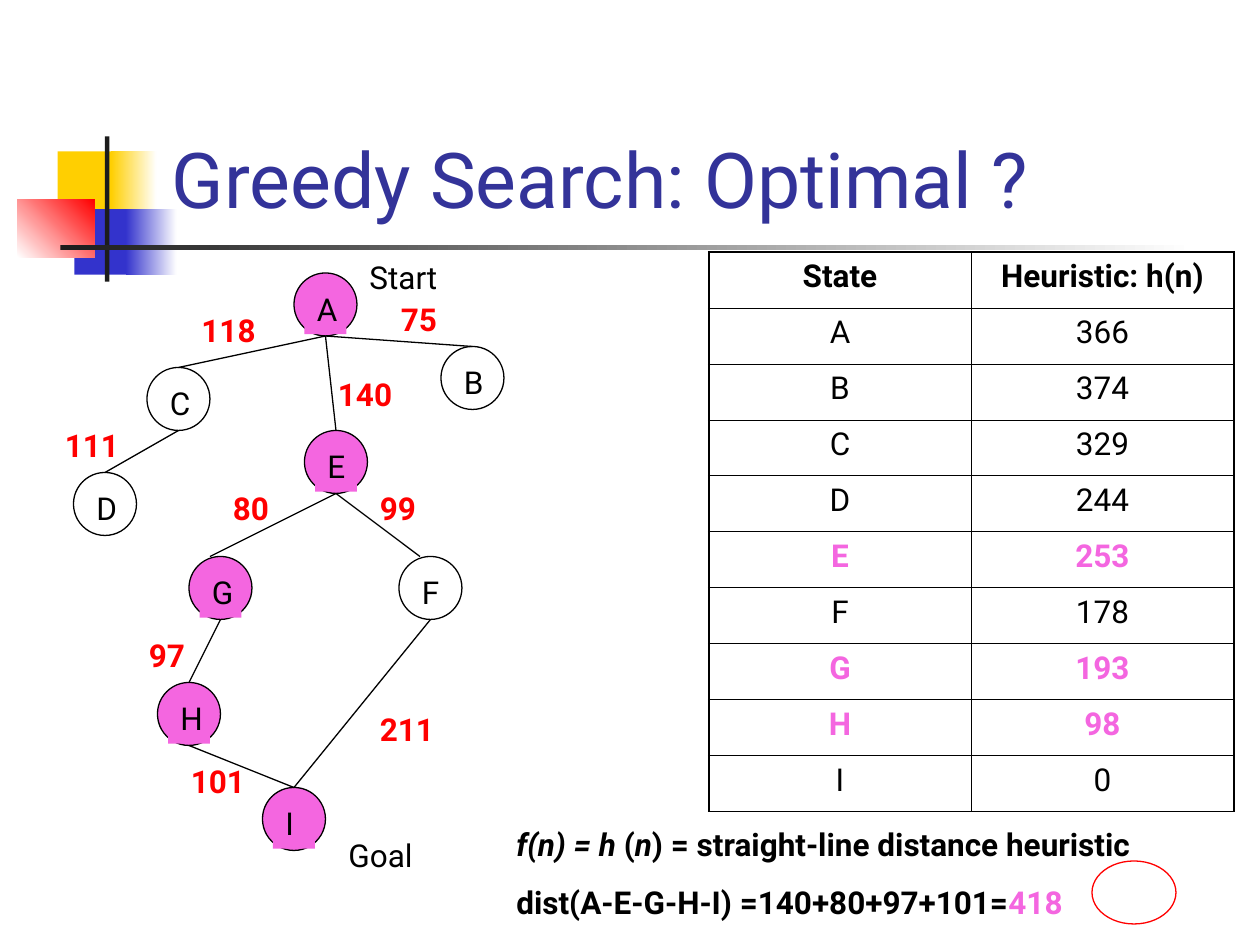
from dataclasses import dataclass

from lxml.etree import SubElement
from pptx import Presentation
from pptx.dml.color import RGBColor
from pptx.enum.shapes import MSO_CONNECTOR as Connector, MSO_SHAPE as Preset
from pptx.enum.text import MSO_ANCHOR as Anchor, MSO_AUTO_SIZE as AutoSize, PP_ALIGN as Align
from pptx.oxml.ns import qn
from pptx.util import Pt


@dataclass(frozen=True)
class Theme:
    font: str = "Roboto"
    title_size: float = 44
    body_size: float = 18
    thin: float = 0.45
    line: float = 0.75
    thick: float = 1.08
    title: str = "333399"
    ink: str = "000000"
    path_node: str = "F466E0"
    cost: str = "FF0000"
    white: str = "FFFFFF"
    yellow: str = "FFCF01"
    blue: str = "3333CC"
    red: str = "FF0000"
    charcoal: str = "1C1C1C"


def apply(target, values):
    for name, value in values.items():
        setattr(target, name, value)


class SlideBuilder:
    def __init__(self, slide, theme):
        self.slide = slide
        self.theme = theme

    def paint(self, fill, colors, angle=0):
        if not colors:
            fill.background()
        elif len(colors) == 1:
            fill.solid()
            fill.fore_color.rgb = RGBColor.from_string(colors[0])
        else:
            fill.gradient()
            fill.gradient_angle = angle
            for stop, color in zip(fill.gradient_stops, colors):
                stop.color.rgb = RGBColor.from_string(color)

    def outline(self, line, color):
        line.color.rgb = RGBColor.from_string(color)
        line.width = Pt(self.theme.line)

    def add_text_run(self, paragraph, text, color=None, size=None, **values):
        run = paragraph.add_run()
        run.text = text
        apply(run.font, {"name": self.theme.font, "size": Pt(size or self.theme.body_size), **values})
        run.font.color.rgb = RGBColor.from_string(color or self.theme.ink)

    def title(self, text, box):
        title = self.slide.shapes.title
        apply(title, dict(zip(("left", "top", "width", "height"), map(Pt, box))))
        apply(title.text_frame, {"vertical_anchor": Anchor.BOTTOM, "word_wrap": True,
                                 "auto_size": AutoSize.NONE})
        paragraph = title.text_frame.paragraphs[0]
        paragraph.alignment = Align.LEFT
        self.add_text_run(paragraph, text, self.theme.title, self.theme.title_size)
        title.element.getparent().append(title.element)

    def shape(self, preset, box, colors=(), angle=0, line=None, parent=None):
        shape = (parent or self.slide).shapes.add_shape(preset, *map(Pt, box))
        shape.shadow.inherit = False
        self.paint(shape.fill, colors, angle)
        if line:
            self.outline(shape.line, line)
        else:
            shape.line.fill.background()

    def text(self, box, paragraphs, fill=(), parent=None):
        shape = (parent or self.slide).shapes.add_textbox(*map(Pt, box))
        self.paint(shape.fill, fill)
        frame = shape.text_frame
        apply(frame, {"word_wrap": True, "auto_size": AutoSize.SHAPE_TO_FIT_TEXT})
        for index, runs in enumerate(paragraphs):
            paragraph = frame.add_paragraph() if index else frame.paragraphs[0]
            if index:
                paragraph.space_before = Pt(11.25)
            for text, values in runs:
                self.add_text_run(paragraph, text, **values)

    def label(self, box, text, **values):
        self.text(box, [[(text, values)]])

    def node(self, name, left, top, size, on_path):
        group = self.slide.shapes.add_group_shape()
        fill = (self.theme.path_node,) if on_path else ()
        self.shape(Preset.OVAL, (left, top, size, size), fill, line=self.theme.ink, parent=group)
        self.text((left + 6, top + 6, 24, 29), [[(name, {})]], fill, group)

    def edge(self, start, end):
        connector = self.slide.shapes.add_connector(Connector.STRAIGHT, *map(Pt, (*start, *end)))
        self.outline(connector.line, self.theme.ink)
        SubElement(connector.element.spPr, qn("a:effectLst"))

    def border(self, cell, side, width):
        line = SubElement(cell._tc.get_or_add_tcPr(), qn(f"a:ln{side}"), w=str(int(Pt(width))))
        fill = SubElement(line, qn("a:solidFill"))
        SubElement(fill, qn("a:srgbClr"), val=self.theme.ink)

    def table(self, left, top, column_width, row_height, rows, highlighted):
        row_count, column_count = len(rows), len(rows[0])
        box = (left, top, column_width * column_count, row_height * row_count)
        table = self.slide.shapes.add_table(row_count, column_count, *map(Pt, box)).table
        apply(table, {"first_row": False, "horz_banding": False})
        for row, values in enumerate(rows):
            marked = values[0] in highlighted
            for column, value in enumerate(values):
                cell = table.cell(row, column)
                outer = {"L": column == 0, "R": column == column_count - 1,
                         "T": row == 0, "B": row == row_count - 1}
                for side, is_outer in outer.items():
                    self.border(cell, side, self.theme.thick if is_outer else self.theme.thin)
                self.paint(cell.fill, ())
                paragraph = cell.text_frame.paragraphs[0]
                paragraph.alignment = Align.CENTER
                self.add_text_run(paragraph, value, self.theme.path_node if marked else None,
                                  bold=marked or row == 0)


NODE_SIZE = 36
NODES = {"A": (168, 156), "B": (252, 198), "D": (42, 270), "C": (84, 210), "E": (174, 246),
         "F": (228, 318), "I": (150, 450), "G": (108, 318), "H": (90, 390)}
PATH = "AEGHI"
EDGES = [("EF", -6), ("FI", 0), ("EG", -6), ("GH", 0), ("HI", 0),
         ("AB", 0), ("AE", 0), ("AC", 0), ("CD", 0)]
COSTS = [("99", 210, 276, 48), ("211", 210, 402, 60), ("80", 126, 276, 48),
         ("97", 78, 360, 48), ("101", 102, 432, 66), ("75", 222, 168, 48),
         ("118", 108, 174, 60), ("111", 30, 240, 60), ("140", 186, 211, 60)]
HEURISTICS = [("State", "Heuristic: h(n)"), ("A", "366"), ("B", "374"), ("C", "329"),
              ("D", "244"), ("E", "253"), ("F", "178"), ("G", "193"), ("H", "98"), ("I", "0")]


def main():
    presentation = Presentation()
    apply(presentation, {"slide_width": Pt(720), "slide_height": Pt(540)})
    theme = Theme()
    builder = SlideBuilder(presentation.slides.add_slide(presentation.slide_layouts[5]), theme)

    decorations = [
        ((33, 86.5, 34.5, 37.5), (theme.yellow,), 0),
        ((63.5, 86.5, 26, 37.5), (theme.yellow, theme.white), 0),
        ((42.5, 119.5, 33, 37.5), (theme.blue,), 0),
        ((72, 119.5, 29, 37.5), (theme.blue, theme.white), 0),
        ((10, 114, 44, 33), (theme.white, theme.red), 45),
        ((60, 78, 2.5, 83), (theme.charcoal,), 0),
        ((34.5, 140.25, 648, 2.5), (theme.charcoal, theme.white), 0),
    ]
    for box, colors, angle in decorations:
        builder.shape(Preset.RECTANGLE, box, colors, angle)
    builder.title("Greedy Search: Optimal ?", (91, 16.5, 613.5, 115))

    for name, (left, top) in NODES.items():
        builder.node(name, left, top, NODE_SIZE, name in PATH)
    for (parent, child), shift in EDGES:
        (start_x, start_y), (end_x, end_y) = NODES[parent], NODES[child]
        builder.edge((start_x + NODE_SIZE / 2, start_y + NODE_SIZE),
                     (end_x + NODE_SIZE / 2 + shift, end_y))
    for cost, left, top, width in COSTS:
        builder.label((left, top, width, 29), cost, color=theme.cost, bold=True)
    builder.label((204, 144, 96, 29), "Start")
    builder.label((192, 474, 96, 29), "Goal")

    bold, italic = {"bold": True}, {"bold": True, "italic": True}
    builder.text((288, 468, 432, 62), [
        [("f(n) = h ", italic), ("(", bold), ("n", italic),
         (") = straight-line distance heuristic", bold)],
        [("dist(A-E-G-H-I) =140+80+97+101=", bold), ("418", {"color": theme.path_node, **bold})],
    ])
    builder.table(405, 144, 150, 32, HEURISTICS, "EGH")
    builder.shape(Preset.OVAL, (624, 492, 48, 36), line=theme.red)
    presentation.save("out.pptx")


if __name__ == "__main__":
    main()
